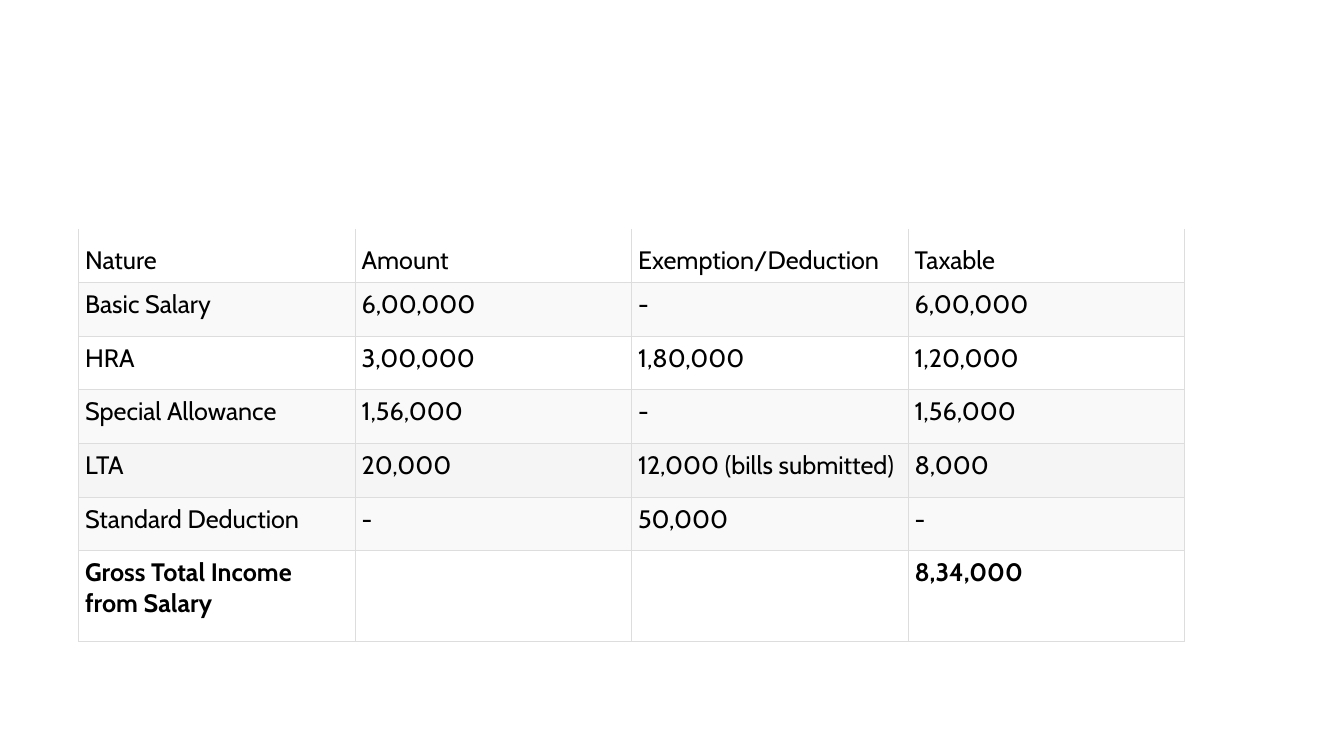
"""Builds a slide with a table of taxable salary income."""
from dataclasses import dataclass

from lxml import etree
from pptx import Presentation
from pptx.dml.color import RGBColor
from pptx.enum.text import MSO_ANCHOR
from pptx.oxml.ns import qn
from pptx.util import Pt

TOP, BOTTOM = MSO_ANCHOR.TOP, MSO_ANCHOR.BOTTOM


@dataclass(frozen=True)
class Theme:
    """Holds the colours, type and line sizes of the slide."""
    font: str = "Cabin"
    size: float = 18
    ink: str = "000000"
    border: str = "DDDDDD"
    border_width: float = 0.6
    inset: float = 4.8
    white: str = "FFFFFF"
    band: str = "F9F9F9"
    highlight: str = "F5F5F5"


class SlideBuilder:
    """Draws styled elements on the current slide."""

    def __init__(self, slide, theme):
        """Keeps the slide and its theme."""
        self.slide = slide
        self.theme = theme

    def border(self, cell, sides):
        """Draws the named sides of a cell and clears the others."""
        properties = cell._tc.get_or_add_tcPr()
        for position, side in enumerate("LRTB"):
            line = etree.Element(qn(f"a:ln{side}"), w=str(Pt(self.theme.border_width)))
            if side in sides:
                fill = etree.SubElement(line, qn("a:solidFill"))
                etree.SubElement(fill, qn("a:srgbClr"), val=self.theme.border)
            else:
                etree.SubElement(line, qn("a:noFill"))
            properties.insert(position, line)

    def cell(self, cell, text, fill, sides="LRTB", anchor=TOP, bold=False):
        """Fills one table cell with styled text."""
        theme = self.theme
        cell.text = text
        cell.vertical_anchor = anchor
        cell.margin_left = cell.margin_right = Pt(theme.inset)
        cell.margin_top = cell.margin_bottom = Pt(theme.inset)
        font = cell.text_frame.paragraphs[0].font
        font.name, font.size, font.bold = theme.font, Pt(theme.size), bold
        font.color.rgb = RGBColor.from_string(theme.ink)
        if fill:
            cell.fill.solid()
            cell.fill.fore_color.rgb = RGBColor.from_string(fill)
        else:
            cell.fill.background()
        self.border(cell, sides)

    def table(self, left, top, column_width, row_heights, rows, fills):
        """Adds a table with a header row and a bold total row."""
        columns = len(rows[0])
        table = self.slide.shapes.add_table(
            len(rows), columns, Pt(left), Pt(top),
            Pt(column_width * columns), Pt(sum(row_heights))).table
        table.first_row = table.horz_banding = False
        for column in table.columns:
            column.width = Pt(column_width)
        last = len(rows) - 1
        for index, (height, texts, fill) in enumerate(zip(row_heights, rows, fills)):
            table.rows[index].height = Pt(height)
            header = index == 0
            for column, text in enumerate(texts):
                self.cell(table.cell(index, column), text, fill,
                          sides="LRB" if header else "LRTB",
                          anchor=BOTTOM if header else TOP,
                          bold=index == last)


INCOME = [
    ("Nature", "Amount", "Exemption/Deduction", "Taxable"),
    ("Basic Salary", "6,00,000", "-", "6,00,000"),
    ("HRA", "3,00,000", "1,80,000", "1,20,000"),
    ("Special Allowance", "1,56,000", "-", "1,56,000"),
    ("LTA", "20,000", "12,000 (bills submitted)", "8,000"),
    ("Standard Deduction", "-", "50,000", "-"),
    ("Gross Total Income from Salary", "", "", "8,34,000"),
]


def main():
    """Builds and saves the deck."""
    theme = Theme()
    deck = Presentation()
    deck.slide_width, deck.slide_height = Pt(960), Pt(540)
    builder = SlideBuilder(deck.slides.add_slide(deck.slide_layouts[6]), theme)
    fills = [theme.white, theme.band, None, theme.band,
             theme.highlight, theme.band, None]
    builder.table(56, 163.5, 197.5, [38.3] * 6 + [65], INCOME, fills)
    deck.save("out.pptx")


if __name__ == "__main__":
    main()
